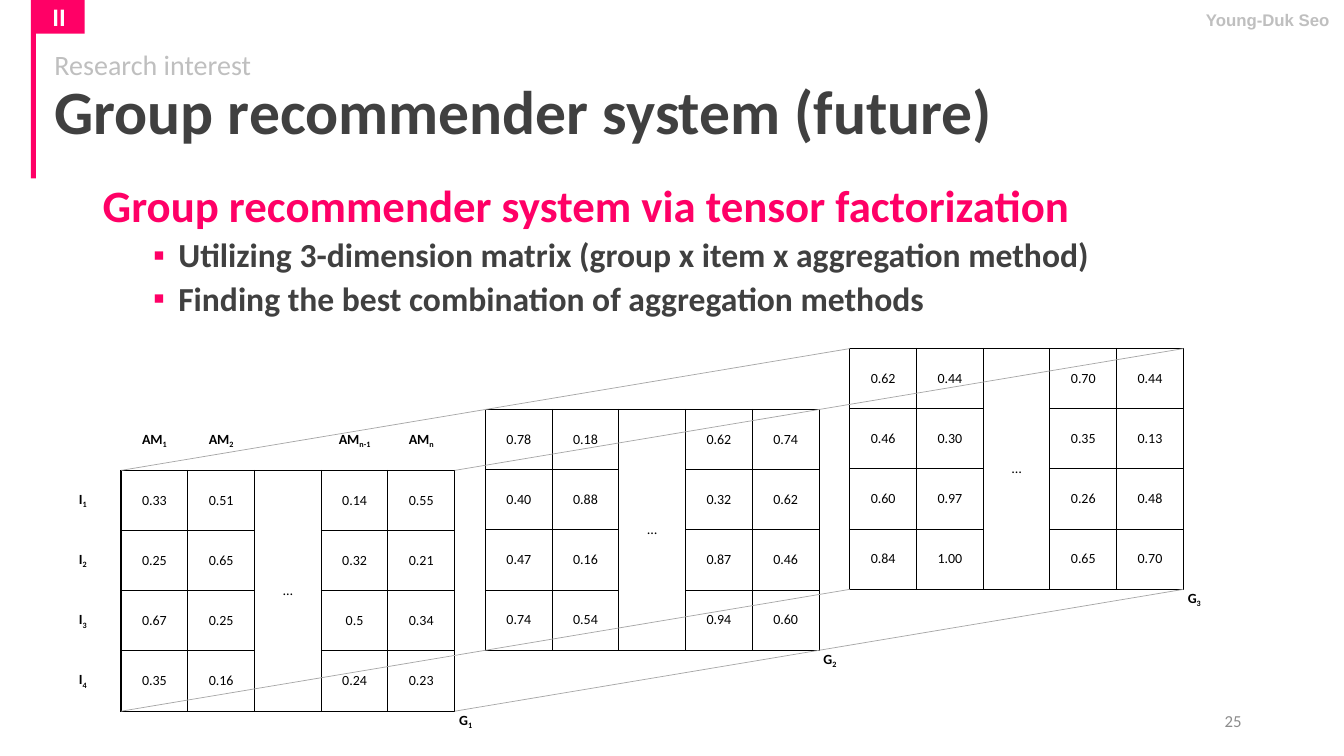
from itertools import product

from lxml.etree import SubElement
from pptx import Presentation
from pptx.dml.color import RGBColor as RGB
from pptx.enum.shapes import MSO_CONNECTOR as CONN, MSO_SHAPE as SHAPE
from pptx.enum.text import MSO_ANCHOR as ANCHOR, MSO_AUTO_SIZE as AUTO, PP_ALIGN as ALIGN
from pptx.oxml import parse_xml
from pptx.oxml.ns import nsdecls, qn
from pptx.util import Pt

COLORS = {"pink": "FF0066", "dark": "404040", "light": "BFBFBF", "page": "8C8C8C",
          "line": "A6A6A6", "black": "000000", "white": "FFFFFF"}
COL_W, ROW_H, LABEL_W = 47.66, 43, 54.7
GRID_W, GRID_H = 5 * COL_W, 4 * ROW_H
GRID_X, GRID_Y = 86.5, 336
STEP_X, STEP_Y = 260.25, -43.5
NO_STYLE = "{2D5ABB26-0587-4C30-8999-92F81FD0307C}"
COLUMN_LABELS = ["", "AM_1", "AM_2", "", "AM_n-1", "AM_n"]
GROUPS = [
    ["0.33 0.51 … 0.14 0.55", "0.25 0.65 … 0.32 0.21",
     "0.67 0.25 … 0.5 0.34", "0.35 0.16 … 0.24 0.23"],
    ["0.78 0.18 … 0.62 0.74", "0.40 0.88 … 0.32 0.62",
     "0.47 0.16 … 0.87 0.46", "0.74 0.54 … 0.94 0.60"],
    ["0.62 0.44 … 0.70 0.44", "0.46 0.30 … 0.35 0.13",
     "0.60 0.97 … 0.26 0.48", "0.84 1.00 … 0.65 0.70"],
]


def apply(obj, **fmt):
    for name, value in fmt.items():
        setattr(obj, name, value)


def box(x, y, w, h):
    return dict(left=Pt(x), top=Pt(y), width=Pt(w), height=Pt(h))


def add_run(p, text, size, color, bold=False, font="Calibri"):
    base, *subscript = text.split("_")
    for i, part in enumerate([base, *subscript]):
        r = p.add_run()
        r.text = part
        apply(r.font, size=Pt(size), bold=bold, name=font)
        r.font.color.rgb = RGB.from_string(COLORS[color])
        if i:
            r._r.get_or_add_rPr().set("baseline", "-25000")


def add_label(s, text, x, y, w, h, align, size, color, anchor=ANCHOR.TOP, **font):
    tf = s.shapes.add_textbox(**box(x, y, w, h)).text_frame
    apply(tf, word_wrap=True, vertical_anchor=anchor)
    tf.paragraphs[0].alignment = align
    add_run(tf.paragraphs[0], text, size, color, **font)


def add_chapter_mark(s, x, y, w, h):
    for area, text in (((x + 2, y, 36.5, 24), "II"), ((x, y, w, h), "")):
        sp = s.shapes.add_shape(SHAPE.RECTANGLE, **box(*area))
        sp.shadow.inherit = False
        sp.fill.solid()
        sp.fill.fore_color.rgb = RGB.from_string(COLORS["pink"])
        sp.line.fill.background()
        if text:
            tf = sp.text_frame
            tf.vertical_anchor = ANCHOR.MIDDLE
            tf.paragraphs[0].alignment = ALIGN.CENTER
            add_run(tf.paragraphs[0], text, 18, "white", True)


def add_title(s, x, y, w, h):
    sp = s.shapes.title
    apply(sp, **box(x, y, w, h))
    tf = sp.text_frame
    apply(tf, vertical_anchor=ANCHOR.MIDDLE, auto_size=AUTO.NONE, word_wrap=True)
    p = tf.paragraphs[0]
    apply(p, alignment=ALIGN.LEFT, line_spacing=0.9, space_before=Pt(0))
    add_run(p, "Research interest", 20, "light")
    p.add_line_break()
    add_run(p, "Group recommender system (future)", 44, "dark", True)


def add_body(s, x, y, w, h):
    sp = s.placeholders[1]
    apply(sp, **box(x, y, w, h))
    tf = sp.text_frame
    apply(tf, vertical_anchor=ANCHOR.TOP, auto_size=AUTO.NONE, word_wrap=True)
    p = tf.paragraphs[0]
    pPr = p._p.get_or_add_pPr()
    pPr.set("marL", "0")
    pPr.set("indent", "0")
    SubElement(pPr, qn("a:buNone"))
    apply(p, line_spacing=0.9, space_before=Pt(0))
    add_run(p, "Group recommender system via tensor factorization", 32, "pink", True)
    for text in ("Utilizing 3-dimension matrix (group x item x aggregation method)",
                 "Finding the best combination of aggregation methods"):
        p = tf.add_paragraph()
        pPr = p._p.get_or_add_pPr()
        pPr.set("marL", str(Pt(54)))
        pPr.set("indent", str(Pt(-18)))
        SubElement(SubElement(pPr, qn("a:buClr")), qn("a:srgbClr"), val=COLORS["pink"])
        SubElement(pPr, qn("a:buFont"), typeface="Arial")
        SubElement(pPr, qn("a:buChar"), char="▪")
        apply(p, level=1, line_spacing=0.9, space_before=Pt(5))
        add_run(p, text, 24, "dark", True)


def set_borders(cell, **widths):
    tcPr = cell._tc.get_or_add_tcPr()
    for side, width in widths.items():
        tcPr.append(parse_xml(
            f'<a:ln{side} {nsdecls("a")} w="{Pt(width)}"><a:solidFill>'
            f'<a:srgbClr val="{COLORS["black"]}"/></a:solidFill></a:ln{side}>'))


def add_matrix(s, x, y, group, labelled):
    rows = [line.split() for line in group]
    head = int(labelled)
    if labelled:
        rows = [COLUMN_LABELS] + [[f"I_{i}", *row] for i, row in enumerate(rows, 1)]
    widths = [LABEL_W] * head + [COL_W] * 5
    area = box(x - head * LABEL_W, y - head * ROW_H, sum(widths), len(rows) * ROW_H)
    frame = s.shapes.add_table(len(rows), len(widths), **area)
    table = frame.table
    apply(table, first_row=False, horz_banding=False)
    table._tbl.tblPr.find(qn("a:tableStyleId")).text = NO_STYLE
    for col, width in zip(table.columns, widths):
        col.width = Pt(width)
    for row in table.rows:
        row.height = Pt(ROW_H)
    for r, c in product(range(len(rows)), range(len(widths))):
        cell = table.cell(r, c)
        apply(cell, margin_left=Pt(10.8), margin_right=Pt(10.8), margin_top=Pt(5.4),
              margin_bottom=Pt(5.4), vertical_anchor=ANCHOR.MIDDLE)
        is_value = r >= head and c >= head
        if is_value:
            set_borders(cell, L=1 if c == head else 0.75, R=0.75,
                        T=1 if r == head else 0.75, B=0.75)
        elif r:
            set_borders(cell, R=1)
        elif c:
            set_borders(cell, B=1)
        if labelled:
            cell.fill.solid()
            cell.fill.fore_color.rgb = RGB.from_string(COLORS["white"])
        else:
            cell.fill.background()
        text = rows[r][c]
        if text and not (text == "…" and r > head):
            p = cell.text_frame.paragraphs[0]
            p.alignment = ALIGN.CENTER
            add_run(p, text, 10, "black", not is_value)
    table.cell(head, head + 2).merge(table.cell(head + 3, head + 2))


def add_tensor(s, x, y):
    for k in (1, 0, 2):
        add_matrix(s, x + k * STEP_X, y + k * STEP_Y, GROUPS[k], k == 0)
    for dx, dy in product((GRID_W, 0), (GRID_H, 0)):
        line = s.shapes.add_connector(
            CONN.STRAIGHT, Pt(x + dx), Pt(y + dy),
            Pt(x + dx + 2 * STEP_X), Pt(y + dy + 2 * STEP_Y))
        line.line.width = Pt(0.5)
        line.line.color.rgb = RGB.from_string(COLORS["line"])
        SubElement(line._element.spPr, qn("a:effectLst"))
    for k in range(3):
        add_label(s, f"G_{k + 1}", x + GRID_W + k * STEP_X - 6.2,
                  y + GRID_H + k * STEP_Y - 3.5, 28, 19.4,
                  ALIGN.CENTER, 10, "black", bold=True)


def main():
    prs = Presentation()
    apply(prs, slide_width=Pt(960), slide_height=Pt(540))
    s = prs.slides.add_slide(prs.slide_layouts[1])
    add_label(s, "25", 678, 500.5, 216, 28.8, ALIGN.RIGHT, 12, "page", ANCHOR.MIDDLE)
    add_title(s, 31.7, 23.8, 828, 95)
    add_chapter_mark(s, 22, 0, 3.6, 127.5)
    add_body(s, 66.2, 127.5, 828, 104.4)
    add_label(s, "Young-Duk Seo", 831.6, 3.6, 125.3, 21.6, ALIGN.RIGHT, 12, "light",
              bold=True, font="Arial")
    add_tensor(s, GRID_X, GRID_Y)
    prs.save("out.pptx")


if __name__ == "__main__":
    main()
